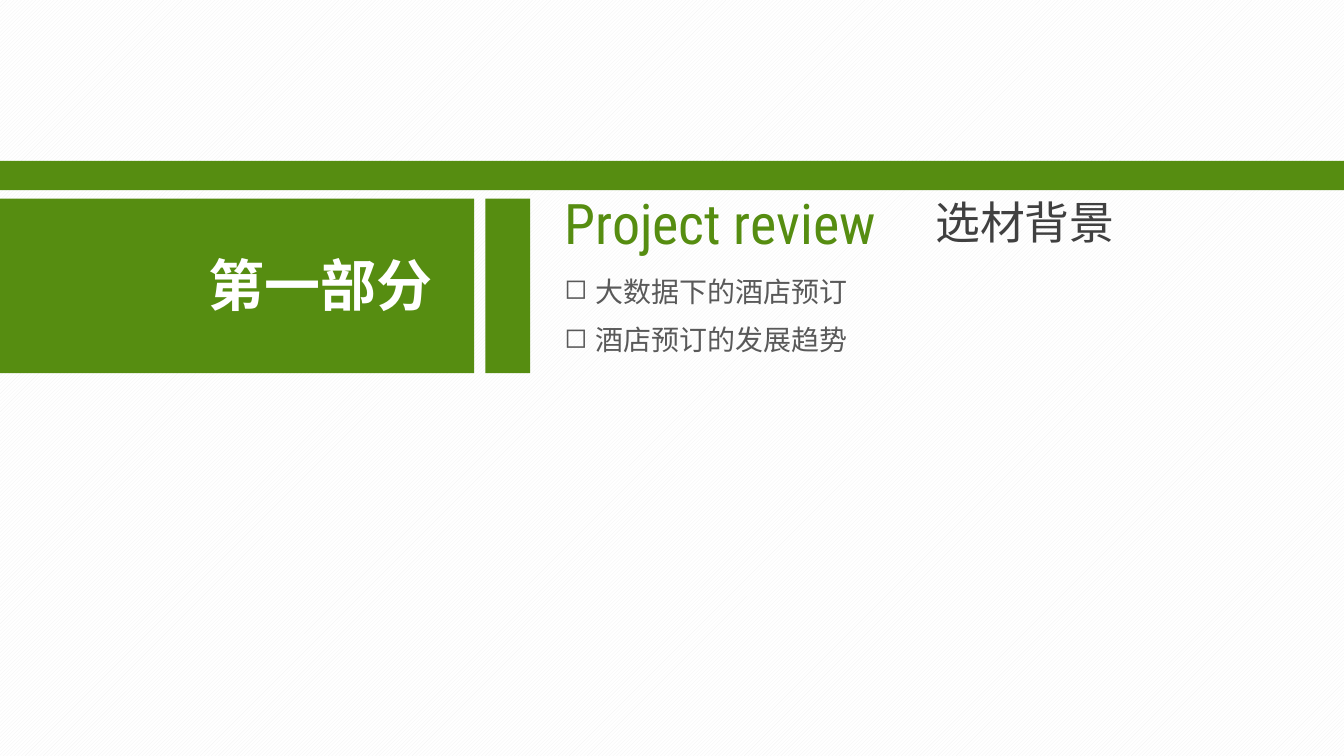
from lxml.etree import SubElement
from pptx import Presentation
from pptx.dml.color import RGBColor
from pptx.enum.dml import MSO_PATTERN_TYPE as Pattern
from pptx.enum.shapes import MSO_SHAPE as Shape
from pptx.enum.text import MSO_ANCHOR as Anchor, MSO_AUTO_SIZE as AutoSize, PP_ALIGN as Align
from pptx.oxml.ns import qn
from pptx.util import Pt

COLORS = {"green": "568D11", "white": "FFFFFF", "stripe": "F2F2F2",
          "dark": "404040", "gray": "595959"}
CHINESE = "Noto Sans CJK SC"
LATIN = "Roboto Condensed"


def color(name):
    return RGBColor.from_string(COLORS[name])


def write(box, bounds, text, size, font, tint, bold=False):
    box.left, box.top, box.width, box.height = [Pt(length) for length in bounds]
    frame = box.text_frame
    frame.word_wrap = False
    frame.auto_size = AutoSize.SHAPE_TO_FIT_TEXT
    frame.vertical_anchor = Anchor.TOP
    frame.margin_left = frame.margin_right = Pt(5)
    frame.margin_top = frame.margin_bottom = Pt(3)
    para = frame.paragraphs[0]
    para.alignment = Align.LEFT
    para.line_spacing = 1.0
    para.space_before = Pt(0)
    span = para.add_run()
    span.text = text
    span.font.size = Pt(size)
    span.font.bold = bold
    span.font.color.rgb = color(tint)
    span.font.name = font
    SubElement(span.font._element, qn("a:ea"), typeface=font)
    return para


deck = Presentation()
deck.slide_width, deck.slide_height = Pt(720), Pt(405)
page = deck.slides.add_slide(deck.slide_layouts[5])

backdrop = page.background.fill
backdrop.patterned()
backdrop.pattern = Pattern.LIGHT_UPWARD_DIAGONAL
backdrop.fore_color.rgb = color("stripe")
backdrop.back_color.rgb = color("white")

write(page.shapes.title, (297.4, 97.9, 190, 41.8), "Project review", 30, LATIN, "green")

block_top, block_height = 106.5, 93.5
for left, top, width, height in [
    (0, 86.2, 720, 15.7),
    (0, block_top, 254.1, block_height),
    (260, block_top, 24, block_height),
]:
    block = page.shapes.add_shape(Shape.RECTANGLE, Pt(left), Pt(top), Pt(width), Pt(height))
    block.shadow.inherit = False
    block.fill.solid()
    block.fill.fore_color.rgb = color("green")
    block.line.fill.background()

section = page.shapes.add_textbox(0, 0, 0, 0)
write(section, (106.6, 131, 131.8, 41.8), "第一部分", 30, CHINESE, "white", bold=True)

subtitle = page.shapes.add_textbox(0, 0, 0, 0)
write(subtitle, (496.1, 101.5, 108, 34.6), "选材背景", 24, CHINESE, "dark")

for row, topic in enumerate(["大数据下的酒店预订", "酒店预订的发展趋势"]):
    box = page.shapes.add_textbox(0, 0, 0, 0)
    para = write(box, (297.4, 144 + 25.9 * row, 164.2, 23.8), topic, 15, CHINESE, "gray")
    layout = para._p.get_or_add_pPr()
    layout.set("marL", str(Pt(16.5)))
    layout.set("indent", str(-Pt(16.5)))
    SubElement(layout, qn("a:buChar"), char="◻")

deck.save("out.pptx")
